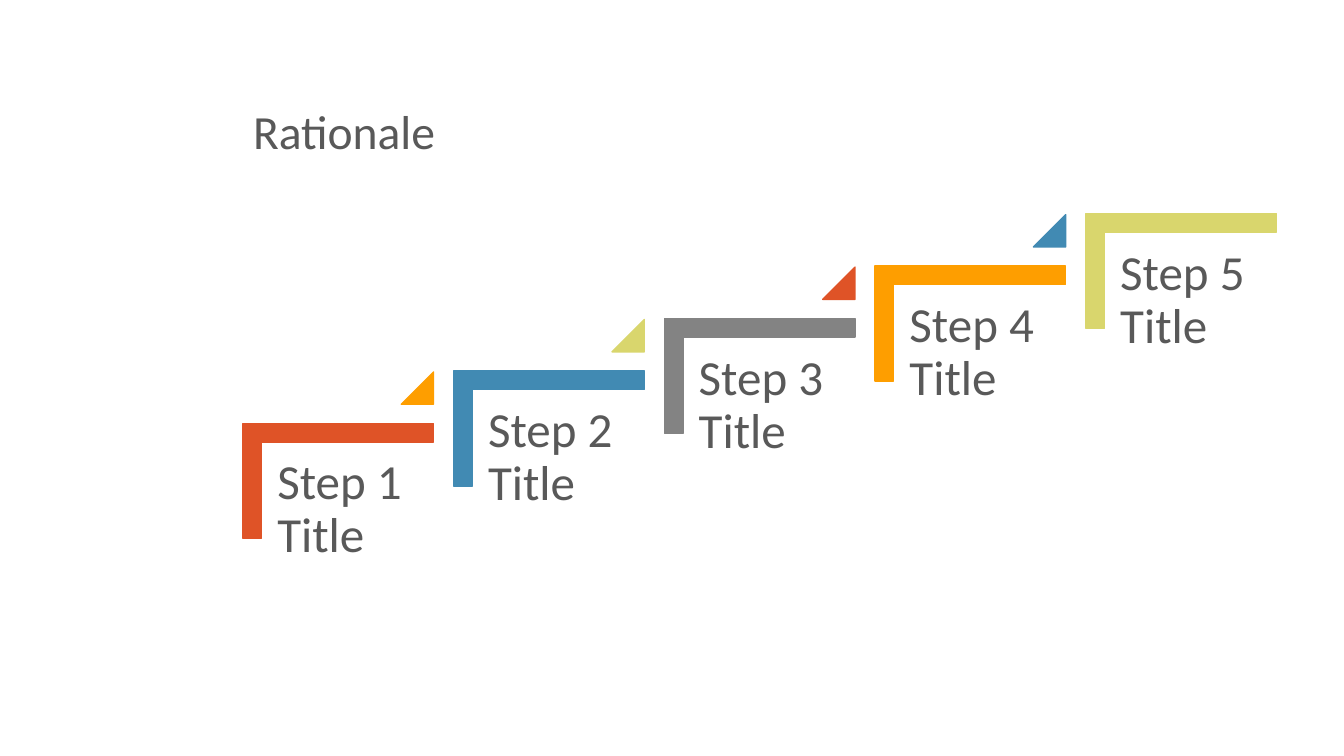
from pptx import Presentation
from pptx.dml.color import RGBColor
from pptx.enum.shapes import MSO_SHAPE as SHAPE
from pptx.enum.text import MSO_ANCHOR as ANCHOR, MSO_AUTO_SIZE as AUTO, PP_ALIGN as ALIGN
from pptx.util import Pt

EMU_PER_PX = 9144
FONT = "Calibri"
TEXT = "595959"
RED, BLUE, GREY, ORANGE, LIME = "DF5327", "418AB3", "838383", "FE9E00", "D9D66D"
STEPS = [
    ("Step 1", RED, ORANGE),
    ("Step 2", BLUE, LIME),
    ("Step 3", GREY, RED),
    ("Step 4", ORANGE, BLUE),
    ("Step 5", LIME, None),
]
STEP_W, STEP_H = 189, 114
RISE_X, RISE_Y = 209, 52


def px(n):
    """Turn px into EMU."""
    return int(n * EMU_PER_PX)


def box(x, y, w, h):
    """Turn a px box into EMU."""
    return [px(n) for n in (x, y, w, h)]


def color(value):
    """Turn a hex string into a colour."""
    return RGBColor.from_string(value)


def add_run(p, text, size):
    """Add one run in the slide's text style."""
    r = p.add_run()
    r.text = text
    r.font.name = FONT
    r.font.size = Pt(size)
    r.font.color.rgb = color(TEXT)


def add_solid(s, kind, x, y, w, h, fill, adjustments):
    """Add a preset shape with fill and line of one colour."""
    sp = s.shapes.add_shape(kind, *box(x, y, w, h))
    for i, value in enumerate(adjustments):
        sp.adjustments[i] = value
    sp.shadow.inherit = False
    sp.fill.solid()
    sp.fill.fore_color.rgb = color(fill)
    sp.line.color.rgb = color(fill)
    sp.line.width = Pt(1)
    return sp


def add_title(s, x, y, w, h, text):
    """Place and format the title placeholder."""
    sp = s.shapes.title
    sp.left, sp.top, sp.width, sp.height = box(x, y, w, h)
    tf = sp.text_frame
    tf.auto_size = AUTO.NONE
    tf.vertical_anchor = ANCHOR.BOTTOM
    p = tf.paragraphs[0]
    p.alignment = ALIGN.LEFT
    p.line_spacing = 0.9
    add_run(p, text, 34)


def add_step(s, x, y, w, h, label, fill, marker):
    """Draw one stair: bracket, text and the marker to the next stair."""
    turn = (w - h) / 2
    bracket = add_solid(s, SHAPE.CORNER, x + turn, y - turn, h, w, fill, [0.161, 0.161])
    bracket.rotation = 90
    tf = s.shapes.add_textbox(*box(x + 19, y + 19, 171, 150)).text_frame
    tf.word_wrap = True
    tf.margin_left = tf.margin_top = tf.margin_right = tf.margin_bottom = px(15)
    p = tf.paragraphs[0]
    p.line_spacing = 0.9
    add_run(p, label, 35)
    p.add_line_break()
    add_run(p, "Title", 35)
    if marker:
        add_solid(s, SHAPE.ISOSCELES_TRIANGLE, x + w - 32, y - 51, 32, 32, marker, [1])


def add_stairs(s, x, y):
    """Draw the rising stairs from the lowest one at x, y."""
    for i, (label, fill, marker) in enumerate(STEPS):
        add_step(s, x + i * RISE_X, y - i * RISE_Y, STEP_W, STEP_H, label, fill, marker)


def main():
    """Build and save the slide."""
    prs = Presentation()
    prs.slide_width, prs.slide_height = px(1333), px(750)
    s = prs.slides.add_slide(prs.slide_layouts[5])
    add_title(s, 241, 33, 1025, 131, "Rationale")
    add_stairs(s, 241, 420)
    prs.save("out.pptx")


if __name__ == "__main__":
    main()
